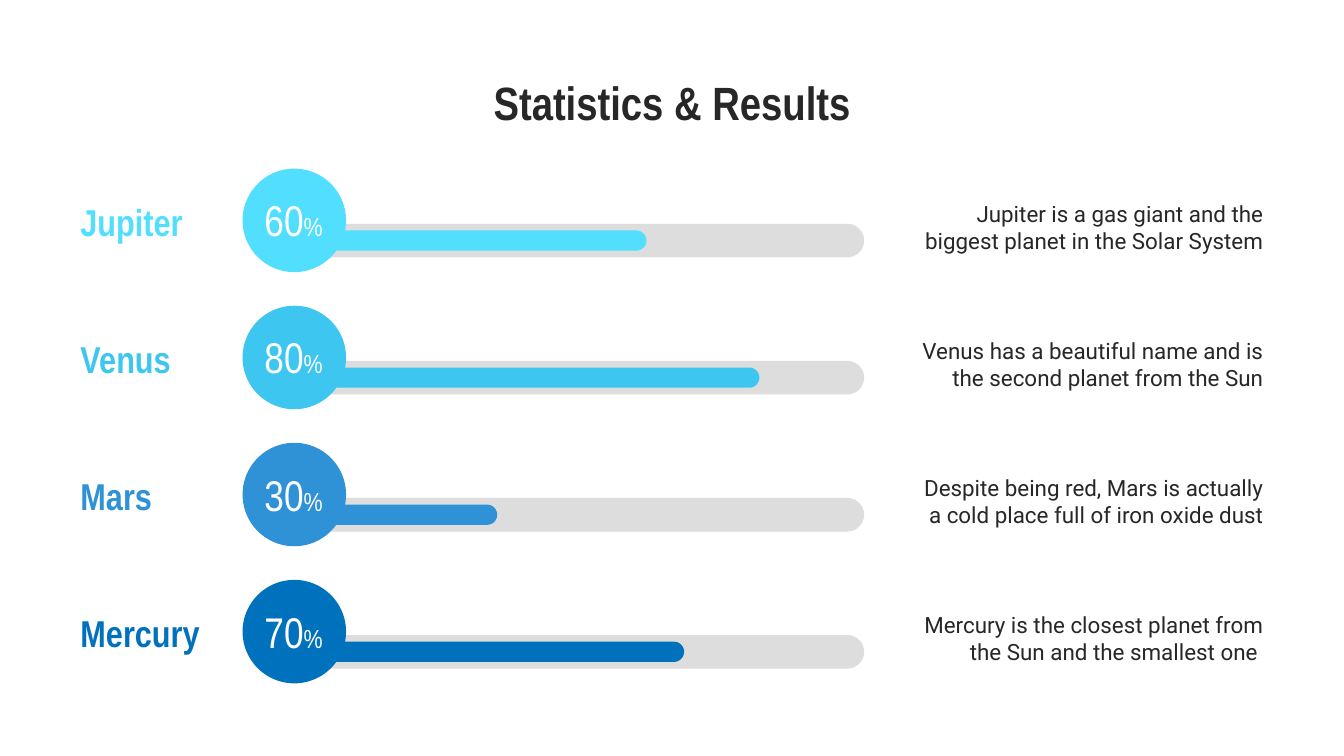
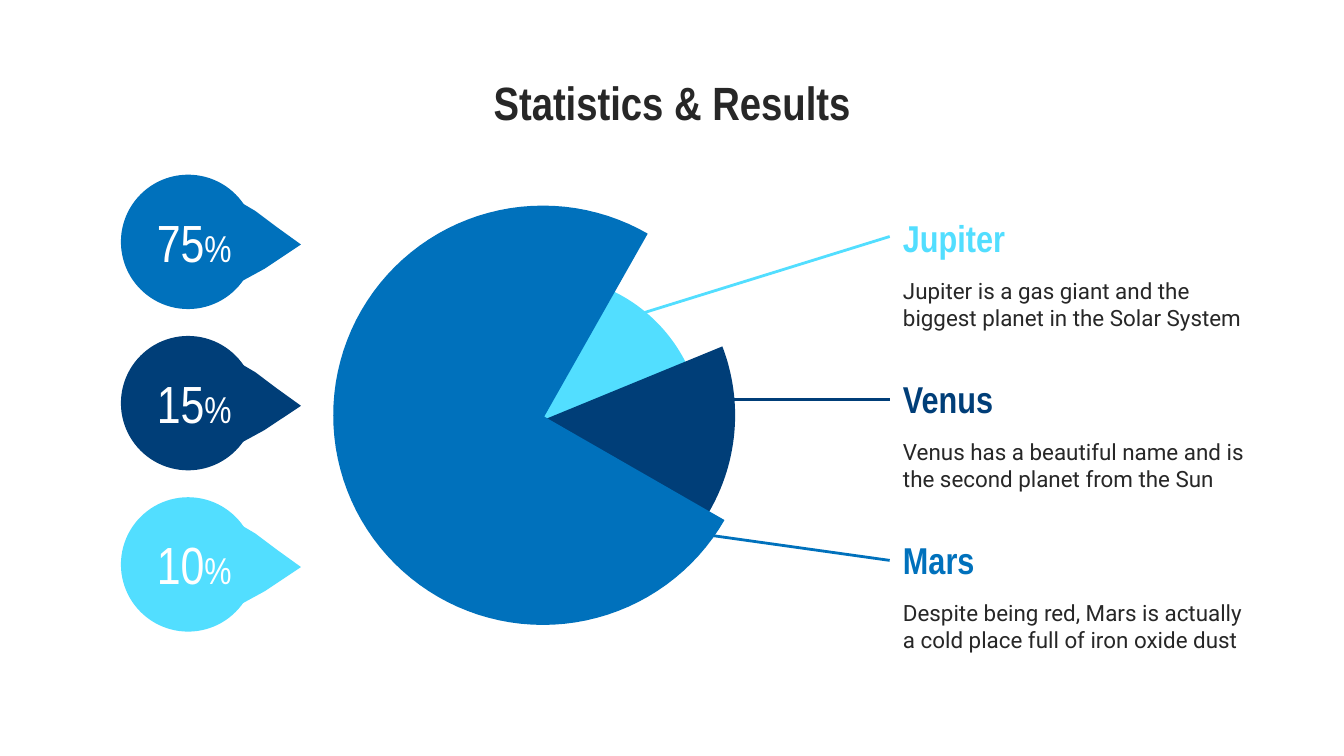
from math import cos, radians, sin

from lxml import etree
from pptx import Presentation
from pptx.dml.color import RGBColor
from pptx.enum.shapes import MSO_CONNECTOR, MSO_SHAPE
from pptx.enum.text import MSO_ANCHOR as Anchor, PP_ALIGN as Align
from pptx.oxml.ns import qn
from pptx.util import Inches, Pt

INK = RGBColor(0x27, 0x27, 0x27)
WHITE = RGBColor(0xFF, 0xFF, 0xFF)
TRACK = RGBColor(0xDD, 0xDD, 0xDD)
CYAN = RGBColor(0x52, 0xDE, 0xFF)
SKY = RGBColor(0x3D, 0xC6, 0xEF)
AZURE = RGBColor(0x2F, 0x91, 0xD6)
BLUE = RGBColor(0x00, 0x71, 0xBC)
NAVY = RGBColor(0x00, 0x3E, 0x78)

HEAD_FONT = "Arial Narrow"
BODY_FONT = "Roboto"
TITLE = "Statistics & Results"

FACTS = {
    "Jupiter": "Jupiter is a gas giant and the biggest planet in the Solar System",
    "Venus": "Venus has a beautiful name and is the second planet from the Sun",
    "Mars": "Despite being red, Mars is actually a cold place full of iron oxide dust",
    "Mercury": "Mercury is the closest planet from the Sun and the smallest one ",
}

BARS = [
    ("Jupiter", "60", 4.81, CYAN),
    ("Venus", "80", 5.65, SKY),
    ("Mars", "30", 3.70, AZURE),
    ("Mercury", "70", 5.09, BLUE),
]
BAR_PITCH = 1.02
BAR_LEFT = 2.40

DROPS = [("75", BLUE), ("15", NAVY), ("10", CYAN)]
DROP_TAIL = [
    (0.84, 0.02), (0.66, -0.11), (0.50, -0.23), (0.33, -0.33), (0.19, -0.38),
    (-0.12, -0.01), (0.07, 0.35), (0.17, 0.38), (0.35, 0.32), (0.57, 0.20),
]
LEGEND = [
    ("Jupiter", CYAN, (4.62, 2.38), 1.76),
    ("Venus", NAVY, (5.01, 2.97), 2.97),
    ("Mars", BLUE, (4.62, 3.89), 4.17),
]
LEGEND_LEFT = 6.62
LEGEND_PITCH = 1.2

PIE_CENTRE = (4.04, 3.09)
WEDGES = [
    {"apex": (4.03, 3.13), "radius": 1.43, "start": -21, "end": 68, "color": NAVY},
    {"apex": (4.05, 3.10), "radius": 1.56, "start": 30, "end": 300, "color": BLUE},
]


def paint(shape, color):
    shape.shadow.inherit = False
    shape.fill.solid()
    shape.fill.fore_color.rgb = color
    shape.line.fill.background()


def add_circle(page, centre, radius, color):
    x, y = centre
    circle = page.shapes.add_shape(
        MSO_SHAPE.OVAL, Inches(x - radius), Inches(y - radius),
        Inches(2 * radius), Inches(2 * radius))
    paint(circle, color)


def add_outline(page, points, color):
    corners = [(Inches(x), Inches(y)) for x, y in points]
    builder = page.shapes.build_freeform(*corners[0], scale=1.0)
    builder.add_line_segments(corners[1:], close=True)
    paint(builder.convert_to_shape(), color)


def arc(centre, radius, start, end, steps):
    angles = [radians(start + (end - start) * i / steps) for i in range(steps + 1)]
    return [(centre[0] + radius * cos(a), centre[1] + radius * sin(a)) for a in angles]


def add_bar(page, end, middle, height, color):
    radius = height / 2
    cap = arc((end - radius, middle), radius, -90, 90, 18)
    left_edge = [(BAR_LEFT, middle + radius), (BAR_LEFT, middle - radius)]
    add_outline(page, left_edge + cap, color)


def write(box, runs, align, anchor):
    frame = box.text_frame
    frame.word_wrap = True
    frame.vertical_anchor = anchor
    for side in ("left", "right", "top", "bottom"):
        setattr(frame, f"margin_{side}", Inches(0.1))
    para = frame.paragraphs[0]
    para.alignment = align
    for text, size, font, color, bold in runs:
        span = para.add_run()
        span.text = text
        span.font.size = Pt(size)
        span.font.name = font
        span.font.color.rgb = color
        span.font.bold = bold


def add_text(page, area, runs, align=Align.LEFT, anchor=Anchor.MIDDLE):
    box = page.shapes.add_textbox(*[Inches(n) for n in area])
    write(box, runs, align, anchor)


def heading(name, color):
    return [(name, 20, HEAD_FONT, color, True)]


def fact(name):
    return [(FACTS[name], 12, BODY_FONT, INK, False)]


def percentage(number, size, sign_size):
    return [(number, size, HEAD_FONT, WHITE, False),
            ("%", sign_size, HEAD_FONT, WHITE, False)]


def add_page(deck):
    page = deck.slides.add_slide(deck.slide_layouts[5])
    title = page.shapes.title
    title.left, title.top = Inches(0.5), Inches(0.45)
    title.width, title.height = Inches(9), Inches(0.54)
    write(title, [(TITLE, 25, HEAD_FONT, INK, True)], Align.CENTER, Anchor.TOP)
    return page


def add_leader(page, start, end, color):
    line = page.shapes.add_connector(
        MSO_CONNECTOR.STRAIGHT, *[Inches(n) for n in start + end])
    line.line.color.rgb = color
    line.line.width = Pt(1.5)
    etree.SubElement(line._element.spPr, qn("a:effectLst"))


def build_bars(deck):
    page = add_page(deck)
    for row, (name, number, end, color) in enumerate(BARS):
        shift = row * BAR_PITCH
        add_bar(page, 6.43, 1.79 + shift, 0.25, TRACK)
        add_bar(page, end, 1.79 + shift, 0.15, color)
        add_circle(page, (2.19, 1.64 + shift), 0.77 / 2, color)
        add_text(page, (1.75, 1.44 + shift, 0.87, 0.39),
                 percentage(number, 23, 14), Align.CENTER)
        add_text(page, (0.5, 1.38 + shift, 1.15, 0.52),
                 heading(name, color), anchor=Anchor.TOP)
        add_text(page, (6.66, 1.39 + shift, 2.84, 0.79),
                 fact(name), Align.RIGHT, Anchor.TOP)


def build_pie(deck):
    page = add_page(deck)
    for name, color, start, end_y in reversed(LEGEND):
        add_leader(page, start, (LEGEND_LEFT, end_y), color)

    add_circle(page, (4.05, 3.23), 1.18, CYAN)
    for wedge in WEDGES:
        rim = arc(PIE_CENTRE, wedge["radius"], wedge["start"], wedge["end"], 90)
        add_outline(page, [wedge["apex"]] + rim, wedge["color"])

    for row, (number, color) in enumerate(DROPS):
        shift = row * LEGEND_PITCH
        x, y = 1.40, 1.80 + shift
        add_outline(page, [(x + dx, y + dy) for dx, dy in DROP_TAIL], color)
        add_circle(page, (x, y), 0.5, color)
        add_text(page, (1, 1.60 + shift, 0.89, 0.39),
                 percentage(number, 28, 20), Align.CENTER)

    for row, (name, color, start, end_y) in enumerate(LEGEND):
        shift = row * LEGEND_PITCH
        add_text(page, (LEGEND_LEFT, 1.57 + shift, 1.5, 0.39), heading(name, color))
        add_text(page, (LEGEND_LEFT, 1.96 + shift, 2.79, 0.6), fact(name))


def main():
    deck = Presentation()
    deck.slide_width = Inches(10)
    deck.slide_height = Inches(10 * 9 / 16)
    build_bars(deck)
    build_pie(deck)
    deck.save("out.pptx")


if __name__ == "__main__":
    main()
